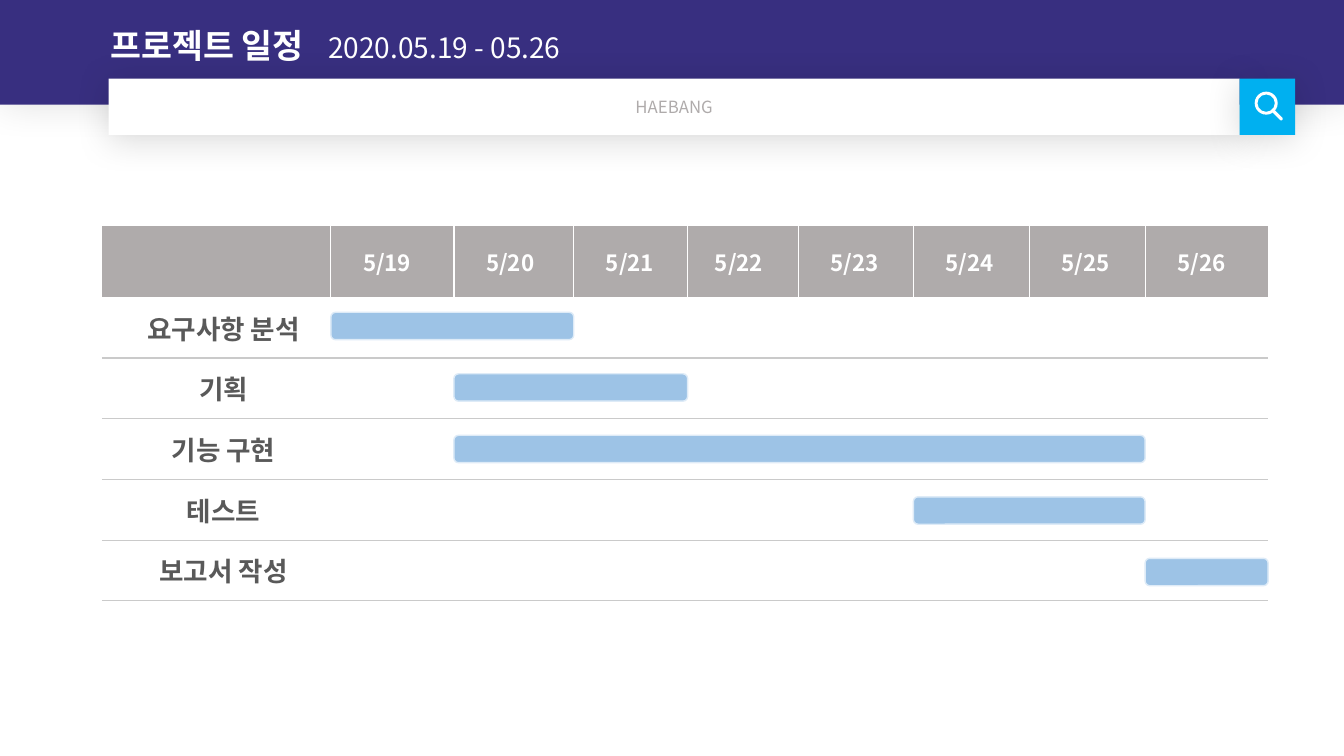
"""Build the project schedule slide with its Gantt table."""
import lxml.etree
import pptx
import pptx.dml.color
import pptx.enum.shapes
import pptx.enum.text
import pptx.oxml.ns
import pptx.util

Cm, Pt = pptx.util.Cm, pptx.util.Pt
RGB = pptx.dml.color.RGBColor.from_string
MSO = pptx.enum.shapes.MSO_SHAPE
ALIGN = pptx.enum.text.PP_ALIGN
ANCHOR = pptx.enum.text.MSO_ANCHOR
SUB = lxml.etree.SubElement
qn = pptx.oxml.ns.qn

FONT = "Noto Sans CJK KR"
COLORS = {"navy": "382F80", "white": "FFFFFF", "sky": "00B0F0", "gray": "AFABAB",
          "rule": "CACACA", "text": "595959", "bar": "9DC3E6", "bar_edge": "DEEBF7",
          "shadow": "000000"}


def add_box(shapes, kind, x, y, w, h, fill, blur=None, angle=90):
    sp = shapes.add_shape(kind, Cm(x), Cm(y), Cm(w), Cm(h))
    sp.fill.solid()
    sp.fill.fore_color.rgb = RGB(COLORS[fill])
    sp.line.fill.background()
    sp.shadow.inherit = False
    if blur:
        effects = sp._element.spPr.find(qn("a:effectLst"))
        shadow = SUB(effects, qn("a:outerShdw"), blurRad=str(Pt(blur)), dist=str(Pt(3)),
                     dir=str(angle * 60000), rotWithShape="0")
        color = SUB(shadow, qn("a:srgbClr"), val=COLORS["shadow"])
        SUB(color, qn("a:alpha"), val="15000")
    return sp


def style_text(p, size, color, bold, align):
    p.alignment = align
    p.font.size = Pt(size)
    p.font.bold = bold
    p.font.color.rgb = RGB(COLORS[color])
    p.font.name = FONT
    SUB(p._p.pPr.find(qn("a:defRPr")), qn("a:ea"), typeface=FONT)


prs = pptx.Presentation()
prs.slide_width, prs.slide_height = Cm(33.87), Cm(19.05)
s = prs.slides.add_slide(prs.slide_layouts[6])

header = add_box(s.shapes, MSO.RECTANGLE, 0, 0, 33.87, 2.64, "navy", 30, 270)
tf = header.text_frame
tf.vertical_anchor = ANCHOR.TOP
p = tf.paragraphs[0]
p.line_spacing = 1.5
style_text(p, 24, "white", True, ALIGN.LEFT)
p._p.pPr.set("marL", str(Cm(2.54)))
p.add_run().text = "프로젝트 일정"
gap = p.add_run()
gap.text = " "
gap._r.get_or_add_rPr().set("spc", "1200")
period = p.add_run()
period.text = "2020.05.19 - 05.26"
period.font.size = Pt(20)
period.font.bold = False

search = add_box(s.shapes, MSO.RECTANGLE, 2.74, 1.98, 28.5, 1.42, "white", 25)
search.text_frame.vertical_anchor = ANCHOR.MIDDLE
p = search.text_frame.paragraphs[0]
p.text = "HAEBANG"
style_text(p, 12, "gray", False, ALIGN.CENTER)

add_box(s.shapes, MSO.RECTANGLE, 31.24, 1.98, 1.4, 1.42, "sky", 25)
lens = s.shapes.add_group_shape()
ring = add_box(lens.shapes, MSO.DONUT, 31.62, 2.31, 0.58, 0.58, "white")
ring.adjustments[0] = 0.122
handle = add_box(lens.shapes, MSO.ROUNDED_RECTANGLE, 32.16, 2.74, 0.08, 0.33, "white")
handle.adjustments[0] = 0.5
handle.rotation = 315

days = ["", "5/19", "5/20", "5/21", "5/22", "5/23", "5/24", "5/25", "5/26"]
tasks = [("요구사항 분석", 1, 2), ("기획", 2, 3), ("기능 구현", 2, 7),
         ("테스트", 6, 7), ("보고서 작성", 8, 8)]
widths = [5.77, 3.1, 3.02, 2.87, 2.79, 2.9, 2.92, 2.92, 3.1]
heights = [1.8] + [1.53] * len(tasks)
left, top = 2.57, 5.69

frame = s.shapes.add_table(len(heights), len(widths), Cm(left), Cm(top),
                           Cm(sum(widths)), Cm(sum(heights)))
table = frame.table
table.first_row = table.horz_banding = False
table._tbl.tblPr.find(qn("a:tableStyleId")).text = "{2D5ABB26-0587-4C30-8999-92F81FD0307C}"
for column, width in zip(table.columns, widths):
    column.width = Cm(width)
for row, height in zip(table.rows, heights):
    row.height = Cm(height)

for i in range(len(heights)):
    for j, day in enumerate(days):
        cell = table.cell(i, j)
        cell.vertical_anchor = ANCHOR.MIDDLE
        cell.fill.solid()
        cell.fill.fore_color.rgb = RGB(COLORS["white" if i else "gray"])
        p = cell.text_frame.paragraphs[0]
        if i == 0 and day:
            cell.margin_left = Cm(0.69 if day == "5/22" else 0.81)
            p.text = day
            style_text(p, 16, "white", True, ALIGN.LEFT)
        elif i and j == 0:
            cell.margin_left = Cm(0.61)
            p.text = tasks[i - 1][0]
            style_text(p, 19, "text", True, ALIGN.CENTER)
        if i:
            sides, color = ["lnB"], "rule"
        elif j == 0:
            sides, color = ["lnR"], "white"
        else:
            sides, color = ["lnL", "lnR", "lnT"][:: 2 if j == len(days) - 1 else 1], "white"
        tcPr = cell._tc.get_or_add_tcPr()
        for k, side in enumerate(sides):
            ln = SUB(tcPr, qn("a:" + side), w=str(Pt(1)))
            SUB(SUB(ln, qn("a:solidFill")), qn("a:srgbClr"), val=COLORS[color])
            tcPr.insert(k, ln)

for i, (task, first, last) in enumerate(tasks):
    x = left + sum(widths[:first])
    bar = add_box(s.shapes, MSO.ROUNDED_RECTANGLE, x, 7.87 + 1.55 * i,
                  sum(widths[first:last + 1]), 0.69, "bar")
    bar.line.color.rgb = RGB(COLORS["bar_edge"])
    bar.line.width = Pt(1)

prs.save("out.pptx")
